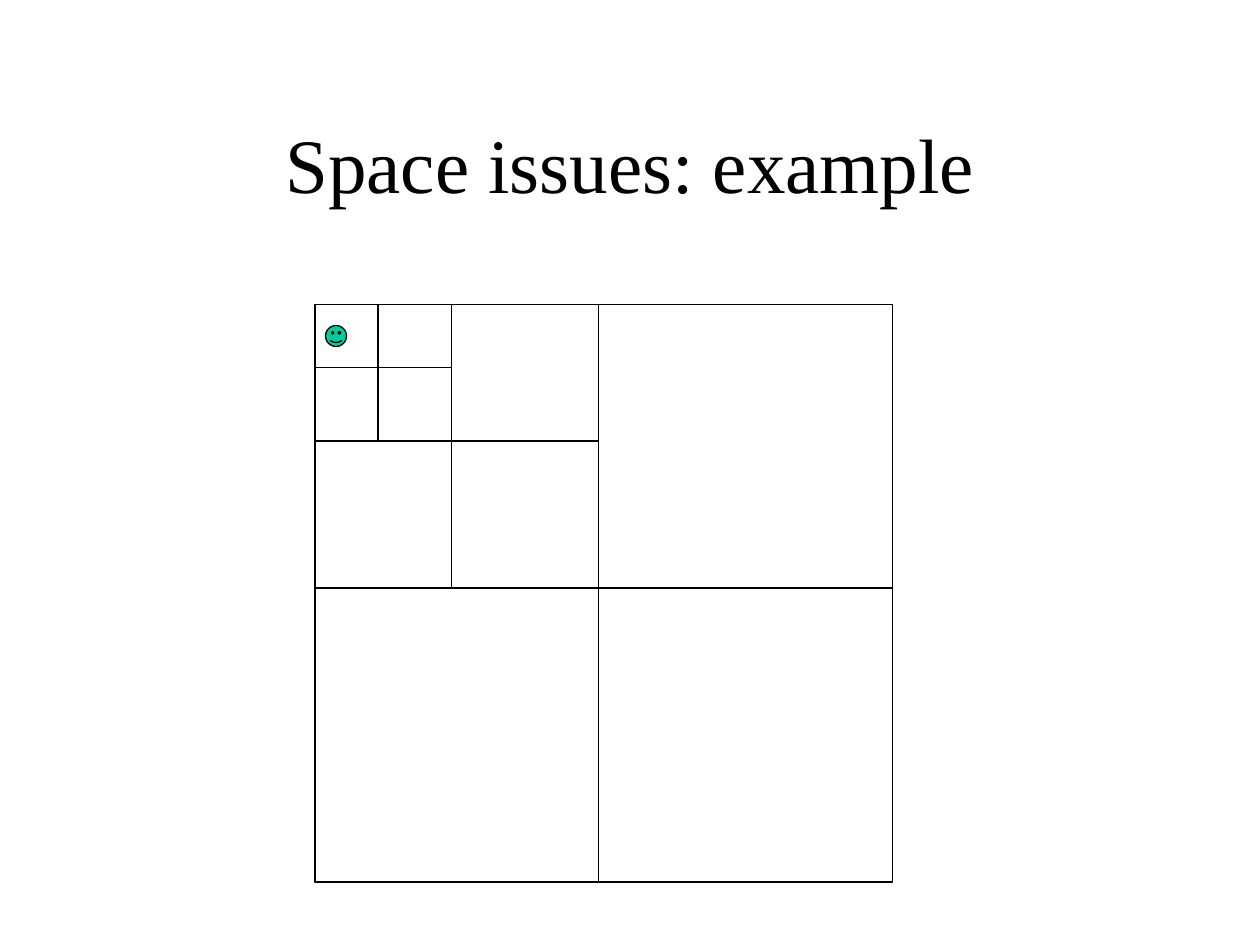
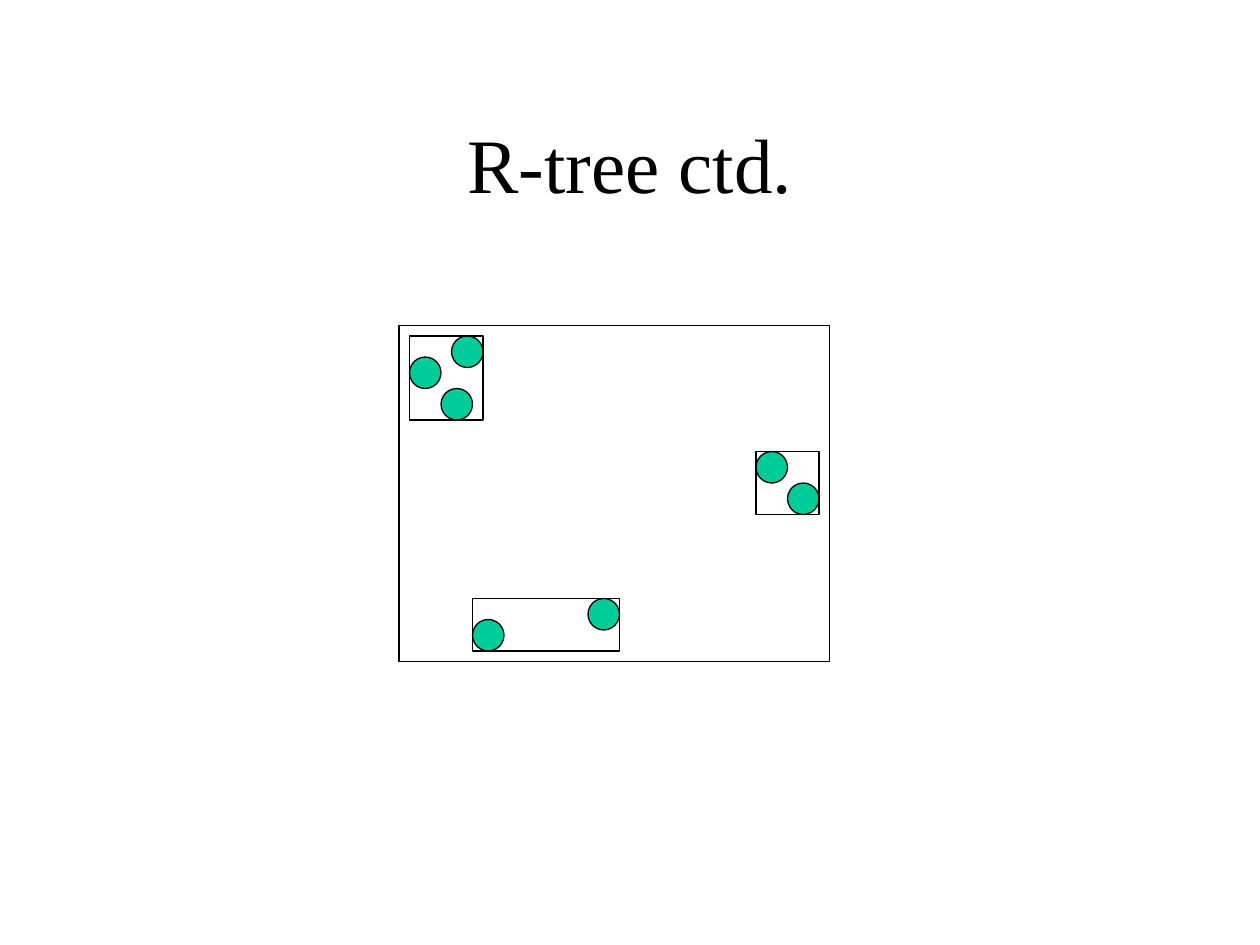
from dataclasses import dataclass

from pptx import Presentation
from pptx.dml.color import RGBColor as Color
from pptx.enum.shapes import MSO_SHAPE as Shape
from pptx.enum.text import MSO_ANCHOR as Anchor, PP_ALIGN as Align
from pptx.util import Inches, Pt

PX = Inches(1) // 96


@dataclass(frozen=True)
class Theme:
    """Colours, font and sizes shared by the slides."""
    paper: Color = Color(0xFF, 0xFF, 0xFF)
    ink: Color = Color(0, 0, 0)
    accent: Color = Color(0, 0xCC, 0x99)
    font: str = "Times New Roman"
    title_size: int = 44
    line_width: float = 0.75


def write(frame, text, *, font, size, color, align=Align.CENTER, anchor=Anchor.MIDDLE):
    """Put one formatted paragraph into a text frame."""
    frame.word_wrap = True
    frame.vertical_anchor = anchor
    para = frame.paragraphs[0]
    para.alignment = align
    span = para.add_run()
    span.text = text
    span.font.name = font
    span.font.size = Pt(size)
    span.font.color.rgb = color


class Painter:
    """Draws titles and outlined shapes on the current slide."""

    def __init__(self, deck, theme):
        """Keep the deck and its style."""
        self.deck = deck
        self.theme = theme
        self.page = None

    def start(self, title):
        """Add a slide with a centred title."""
        theme = self.theme
        self.page = self.deck.slides.add_slide(self.deck.slide_layouts[5])
        self.page.background.fill.solid()
        self.page.background.fill.fore_color.rgb = theme.paper
        box = self.page.shapes.title
        box.left, box.top, box.width, box.height = (n * PX for n in (72, 64, 816, 120))
        write(box.text_frame, title, font=theme.font, size=theme.title_size, color=theme.ink)

    def shape(self, kind, left, top, width, height, fill=None):
        """Add an outlined preset shape, hollow unless a fill is given."""
        box = self.page.shapes.add_shape(kind, *(n * PX for n in (left, top, width, height)))
        box.shadow.inherit = False
        box.line.color.rgb = self.theme.ink
        box.line.width = Pt(self.theme.line_width)
        if fill is None:
            box.fill.background()
        else:
            box.fill.solid()
            box.fill.fore_color.rgb = fill
        return box

    def frame(self, left, top, width, height):
        """Add a hollow rectangle."""
        return self.shape(Shape.RECTANGLE, left, top, width, height)

    def dot(self, left, top, size):
        """Add a filled circle."""
        return self.shape(Shape.OVAL, left, top, size, size, self.theme.accent)

    def smiley(self, left, top, size, smile):
        """Add a filled smiling face."""
        face = self.shape(Shape.SMILEY_FACE, left, top, size, size, self.theme.accent)
        face.adjustments[0] = smile
        return face


def bounds(boxes, margin=0):
    """Return the smallest box around the given boxes, plus a margin."""
    left = min(x for x, y, w, h in boxes) - margin
    top = min(y for x, y, w, h in boxes) - margin
    right = max(x + w for x, y, w, h in boxes) + margin
    bottom = max(y + h for x, y, w, h in boxes) + margin
    return left, top, right - left, bottom - top


def draw_quadtree(painter):
    """Draw a square split again and again towards its top left corner."""
    painter.start("Space issues: example")
    left, top = 240, 232
    sides = [48, 104, 216, 440]
    for side in sides:
        painter.frame(left, top, side, side)
    for inner, outer in reversed(list(zip(sides, sides[1:]))):
        rest = outer - inner
        painter.frame(left, top + inner, inner, rest)
        painter.frame(left + inner, top, rest, inner)
    painter.smiley(248, 248, 16, smile=0.093)


def draw_rtree(painter):
    """Draw groups of points, the box of each group and the root box."""
    painter.start("R-tree ctd.")
    size = 24
    groups = [
        [(344, 256), (336, 296), (312, 272)],
        [(360, 472), (448, 456)],
        [(576, 344), (600, 368)],
    ]
    leaves = [bounds([(x, y, size, size) for x, y in group]) for group in groups]
    for group, leaf in zip(groups, leaves):
        for x, y in group:
            painter.dot(x, y, size)
        painter.frame(*leaf)
    painter.frame(*bounds(leaves, margin=8))


def main():
    """Build and save the deck."""
    deck = Presentation()
    deck.slide_width, deck.slide_height = 960 * PX, 720 * PX
    painter = Painter(deck, Theme())
    draw_quadtree(painter)
    draw_rtree(painter)
    deck.save("out.pptx")


if __name__ == "__main__":
    main()
